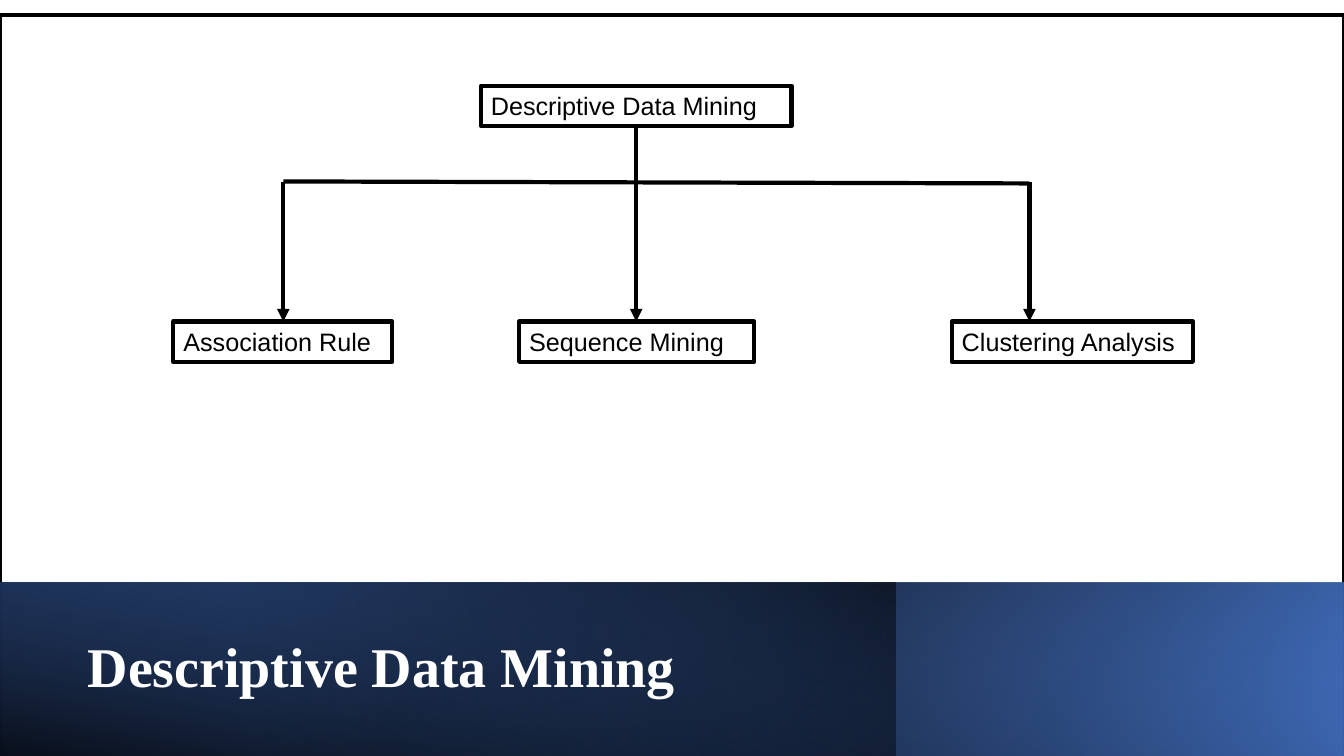
from lxml.etree import SubElement
from pptx import Presentation
from pptx.dml.color import RGBColor
from pptx.enum.shapes import MSO_CONNECTOR, MSO_SHAPE
from pptx.enum.text import MSO_ANCHOR, MSO_AUTO_SIZE, PP_ALIGN
from pptx.oxml.ns import qn
from pptx.util import Inches, Pt

WIDE, HIGH = 13.33, 7.5
BAND_TOP, BAND_HIGH = 5.78, 1.74
BOX_HIGH, BUS, LEAF_TOP = 0.4, 1.81, 3.19
ROOT = ("Descriptive Data Mining", 4.77, 0.85, 3.08)
STEM = 6.31
# Text, left, width, arrow x
LEAVES = [
    ("Association Rule", 1.72, 2.17, 2.81),
    ("Sequence Mining", 5.15, 2.33, STEM),
    ("Clustering Analysis", 9.44, 2.39, 10.21),
]
# Width, angle, stops of (place, colour, opacity)
BANDS = [
    (WIDE, 140, [(0, "000000", 95), (34, "000000", 95), (100, "4472C4", 100)]),
    (8.88, 190, [(0, "2F5496", 58), (28, "2F5496", 58), (100, "000000", 69)]),
    (WIDE, 260, [(0, "000000", 71), (100, "4472C4", 0)]),
]


def paint(part, code):
    part.rgb = RGBColor.from_string(code)


def ink(line):
    line.fill.solid()
    paint(line.color, "000000")
    line.width = Pt(3)


def rect(shapes, x, y, w, h):
    shape = shapes.add_shape(MSO_SHAPE.RECTANGLE, *map(Inches, (x, y, w, h)))
    shape.shadow.inherit = False
    return shape


def frame(shapes):
    shape = rect(shapes, 0, 0.15, WIDE, HIGH)
    shape.fill.solid()
    paint(shape.fill.fore_color, "FFFFFF")
    ink(shape.line)


def band(shapes, wide, angle, stops):
    shape = rect(shapes, 0, BAND_TOP, wide, BAND_HIGH)
    shape.line.fill.background()
    shape.fill.gradient()
    props = shape.element.spPr
    props.find(qn("a:xfrm")).set("flipH", "1")
    grad = props.find(qn("a:gradFill"))
    for child in list(grad):
        grad.remove(child)
    group = SubElement(grad, qn("a:gsLst"))
    for place, code, alpha in stops:
        stop = SubElement(group, qn("a:gs"), pos=str(place * 1000))
        tint = SubElement(stop, qn("a:srgbClr"), val=code)
        SubElement(tint, qn("a:alpha"), val=str(alpha * 1000))
    SubElement(grad, qn("a:lin"), ang=str(angle * 60000), scaled="0")


def style(para, text, face, size, code, bold=False):
    para.text = text
    font = para.font
    font.name, font.size, font.bold = face, Pt(size), bold
    paint(font.color, code)
    para.alignment = PP_ALIGN.LEFT


def box(shapes, text, x, y, w):
    shape = shapes.add_textbox(*map(Inches, (x, y, w, BOX_HIGH)))
    ink(shape.line)
    body = shape.text_frame
    body.word_wrap = True
    body.auto_size = MSO_AUTO_SIZE.SHAPE_TO_FIT_TEXT
    style(body.paragraphs[0], text, "Arial", 18, "000000")


def link(shapes, start, end, arrow=False):
    line = shapes.add_connector(
        MSO_CONNECTOR.STRAIGHT, *map(Inches, (*start, *end)))
    ink(line.line)
    if arrow:
        SubElement(line.line._get_or_add_ln(), qn("a:tailEnd"), type="triangle")
    SubElement(line.element.spPr, qn("a:effectLst"))


def head(slide):
    title = slide.shapes.title
    title.left, title.top, title.width, title.height = map(
        Inches, (0.77, 6.01, 10.78, 1.27))
    body = title.text_frame
    body.vertical_anchor = MSO_ANCHOR.MIDDLE
    body.auto_size = MSO_AUTO_SIZE.NONE
    para = body.paragraphs[0]
    style(para, "Descriptive Data Mining", "Times New Roman", 40, "FFFFFF", True)
    para.line_spacing = 0.9
    # Bring the title in front of the bands
    slide.shapes.element.append(title.element)


def main():
    deck = Presentation()
    deck.slide_width, deck.slide_height = Inches(WIDE), Inches(HIGH)
    slide = deck.slides.add_slide(deck.slide_layouts[0])
    shapes = slide.shapes
    sub = slide.placeholders[1].element
    sub.getparent().remove(sub)

    # Backdrop and title
    frame(shapes)
    for spec_row in BANDS:
        band(shapes, *spec_row)
    head(slide)

    # Tree: root, stem and cross line
    box(shapes, *ROOT)
    link(shapes, (STEM, ROOT[2] + BOX_HIGH), (STEM, BUS))
    link(shapes, (LEAVES[0][3], 1.8), (LEAVES[-1][3], 1.82))

    # Leaves with their arrows
    for text, x, w, mid in LEAVES:
        box(shapes, text, x, LEAF_TOP, w)
        link(shapes, (mid, BUS), (mid, LEAF_TOP), arrow=True)

    deck.save("out.pptx")


if __name__ == "__main__":
    main()
